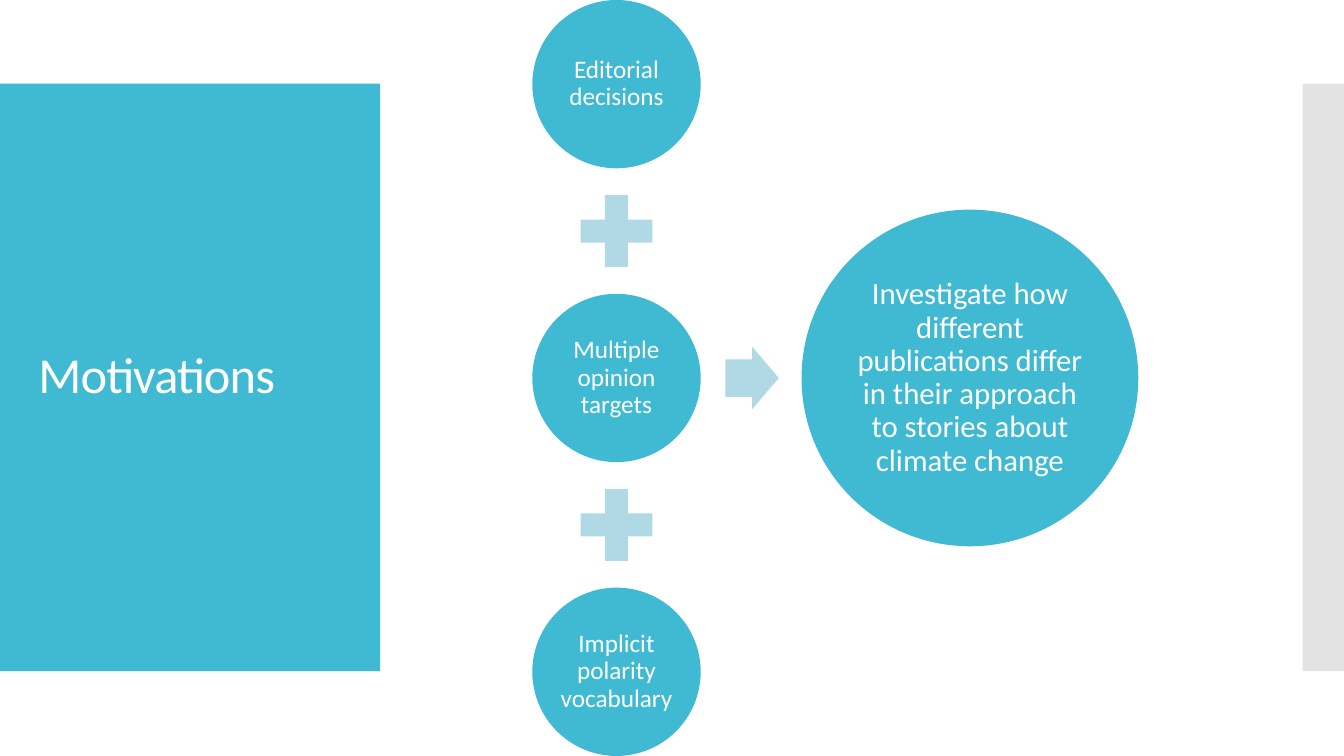
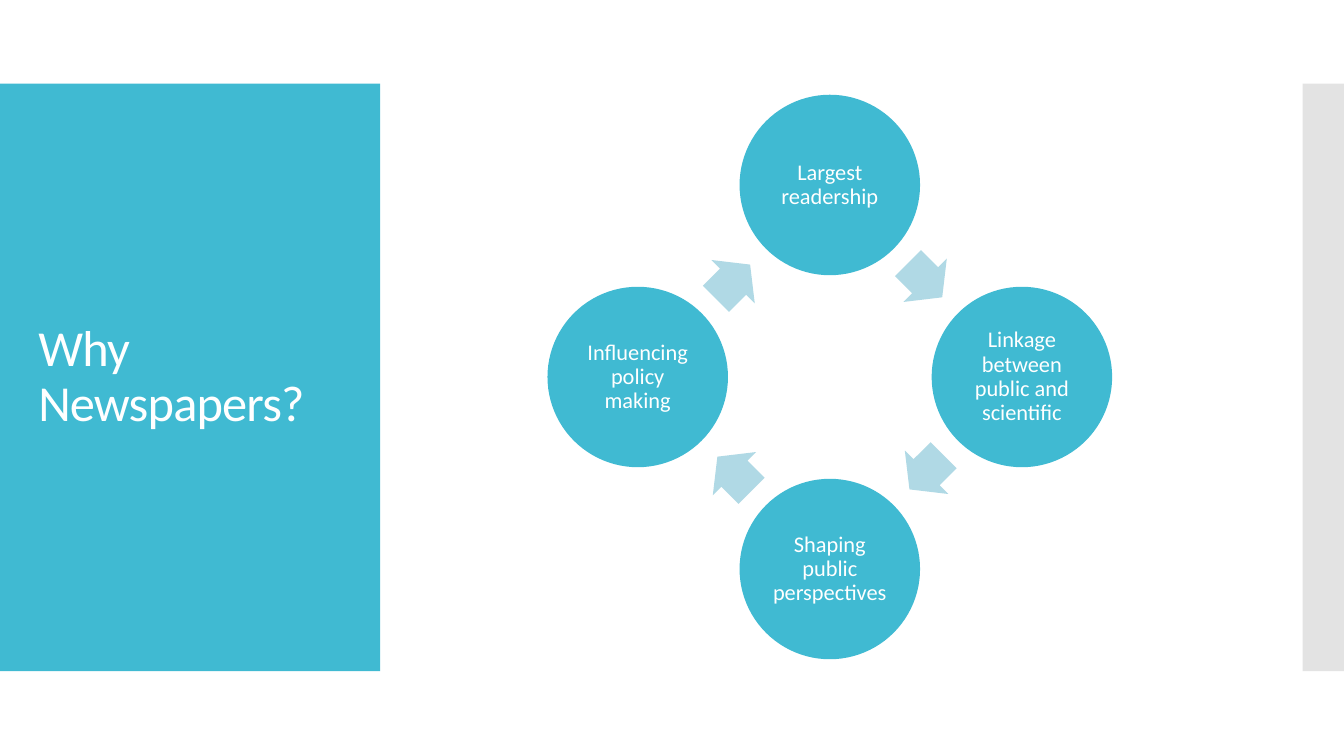
import math

import lxml.etree
import pptx
import pptx.dml.color
import pptx.enum.shapes
import pptx.enum.text
import pptx.oxml.ns
import pptx.util

Inches = pptx.util.Inches
SHAPES = pptx.enum.shapes.MSO_SHAPE
ALIGN = pptx.enum.text.PP_ALIGN
FONT = "Calibri"
TEAL, PALE_TEAL, GREY, WHITE = "40BAD2", "B0D9E5", "C8C8C8", "FFFFFF"
SLIDE_WIDTH, SLIDE_HEIGHT = 13.33, 7.5
BAND_TOP, BAND_HEIGHT = 0.83, 5.83


def rgb(value):
    """Turn a hex string into a colour."""
    return pptx.dml.color.RGBColor.from_string(value)


def add_filled(slide, preset, box, colour):
    """Add a flat preset shape without outline in a box of inches."""
    shape = slide.shapes.add_shape(preset, *map(Inches, box))
    shape.shadow.inherit = False
    shape.fill.solid()
    shape.fill.fore_color.rgb = rgb(colour)
    shape.line.fill.background()
    return shape


def add_centred(slide, preset, centre, size, colour):
    """Add a flat shape around a centre point."""
    (x, y), (width, height) = centre, size
    return add_filled(slide, preset, (x - width / 2, y - height / 2, width, height), colour)


def write_text(frame, text, size, align):
    """Write one run, vertically centred, in the deck's type style."""
    frame.word_wrap = True
    frame.auto_size = pptx.enum.text.MSO_AUTO_SIZE.NONE
    frame.vertical_anchor = pptx.enum.text.MSO_ANCHOR.MIDDLE
    paragraph = frame.paragraphs[0]
    paragraph.alignment = align
    paragraph.line_spacing = 0.9
    run = paragraph.add_run()
    run.text = text
    run.font.name = FONT
    run.font.size = pptx.util.Pt(size)
    run.font.color.rgb = rgb(WHITE)
    return run


def add_node(slide, centre, diameter, text, size):
    """Add a labelled circle."""
    node = add_centred(slide, SHAPES.OVAL, centre, (diameter, diameter), TEAL)
    frame = node.text_frame
    frame.margin_left = frame.margin_right = Inches(0.02)
    frame.margin_top = frame.margin_bottom = Inches(0.02)
    write_text(frame, text, size, ALIGN.CENTER)


def add_arrow(slide, centre, size, rotation=0):
    """Add a pale block arrow turned by an angle in degrees."""
    arrow = add_centred(slide, SHAPES.RIGHT_ARROW, centre, size, PALE_TEAL)
    arrow.adjustments[0], arrow.adjustments[1] = 0.6, 0.5
    arrow.rotation = rotation


def add_layout_bands(slide):
    """Draw the side bands and move them to the slide's layout."""
    title_band = add_filled(slide, SHAPES.RECTANGLE, (0, BAND_TOP, 3.77, BAND_HEIGHT), TEAL)
    edge_band = add_filled(
        slide, SHAPES.RECTANGLE, (12.92, BAND_TOP, SLIDE_WIDTH - 12.92, BAND_HEIGHT), GREY)
    qn = pptx.oxml.ns.qn
    tint = edge_band.element.spPr.find(qn("a:solidFill")).find(qn("a:srgbClr"))
    lxml.etree.SubElement(tint, qn("a:alpha"), val="50000")
    for band in (title_band, edge_band):
        slide.slide_layout.shapes.element.insert(2, band.element)


def add_title(slide, text):
    """Place and format the title over the left band."""
    title = slide.shapes.title
    title.left, title.top, title.width, title.height = map(Inches, (0.28, 1.23, 3.22, 5.03))
    run = write_text(title.text_frame, text, 36, ALIGN.LEFT)
    run.font._element.set("spc", "-60")


def add_sum_diagram(slide, box, terms, result):
    """Stack circles joined by plus signs, with an arrow to the result."""
    left, top, width, height = box
    term_size, result_size = 1.67, 3.34
    middle = top + height / 2
    x = left + term_size / 2
    pitch = (height - term_size) / (len(terms) - 1)
    for index, term in enumerate(terms):
        y = top + term_size / 2 + index * pitch
        if index:
            add_centred(slide, SHAPES.MATH_PLUS, (x, y - pitch / 2), (0.97, 0.97), PALE_TEAL)
        add_node(slide, (x, y), term_size, term, 18)
    add_arrow(slide, (left + term_size + 0.51, middle), (0.53, 0.62))
    add_node(slide, (left + width - result_size / 2, middle), result_size, result, 22)


def add_cycle_diagram(slide, box, steps):
    """Set circles clockwise on a ring with an arrow between neighbours."""
    left, top, width, height = box
    step_size, setback = 1.79, 0.01
    radius = (width - step_size) / 2
    turn = 360 / len(steps)
    arrow_radius = radius * math.cos(math.radians(turn / 2))

    def ring_point(distance, degrees):
        """Find a point clockwise from the top of the ring."""
        angle = math.radians(degrees)
        return (left + width / 2 + distance * math.sin(angle),
                top + height / 2 - distance * math.cos(angle))

    for index, step in enumerate(steps):
        add_node(slide, ring_point(radius, index * turn), step_size, step, 16)
        heading = (index + 0.5) * turn
        x, y = ring_point(arrow_radius, heading)
        angle = math.radians(heading)
        start = (x - setback * math.cos(angle), y - setback * math.sin(angle))
        add_arrow(slide, start, (0.48, 0.61), heading)


def main():
    """Build and save the deck."""
    deck = pptx.Presentation()
    deck.slide_width, deck.slide_height = Inches(SLIDE_WIDTH), Inches(SLIDE_HEIGHT)
    title_only = deck.slide_layouts[5]

    motivations = deck.slides.add_slide(title_only)
    add_layout_bands(motivations)
    add_title(motivations, "Motivations")
    add_sum_diagram(
        motivations, (5.28, 0, 6.01, SLIDE_HEIGHT),
        ("Editorial decisions", "Multiple opinion targets", "Implicit polarity vocabulary"),
        "Investigate how different publications differ in their approach"
        " to stories about climate change")

    newspapers = deck.slides.add_slide(title_only)
    add_title(newspapers, "Why Newspapers?")
    add_cycle_diagram(
        newspapers, (5.43, 0.94, 5.6, 5.6),
        ("Largest readership", "Linkage between public and scientific",
         "Shaping public perspectives", "Influencing policy making"))

    deck.save("out.pptx")


if __name__ == "__main__":
    main()
